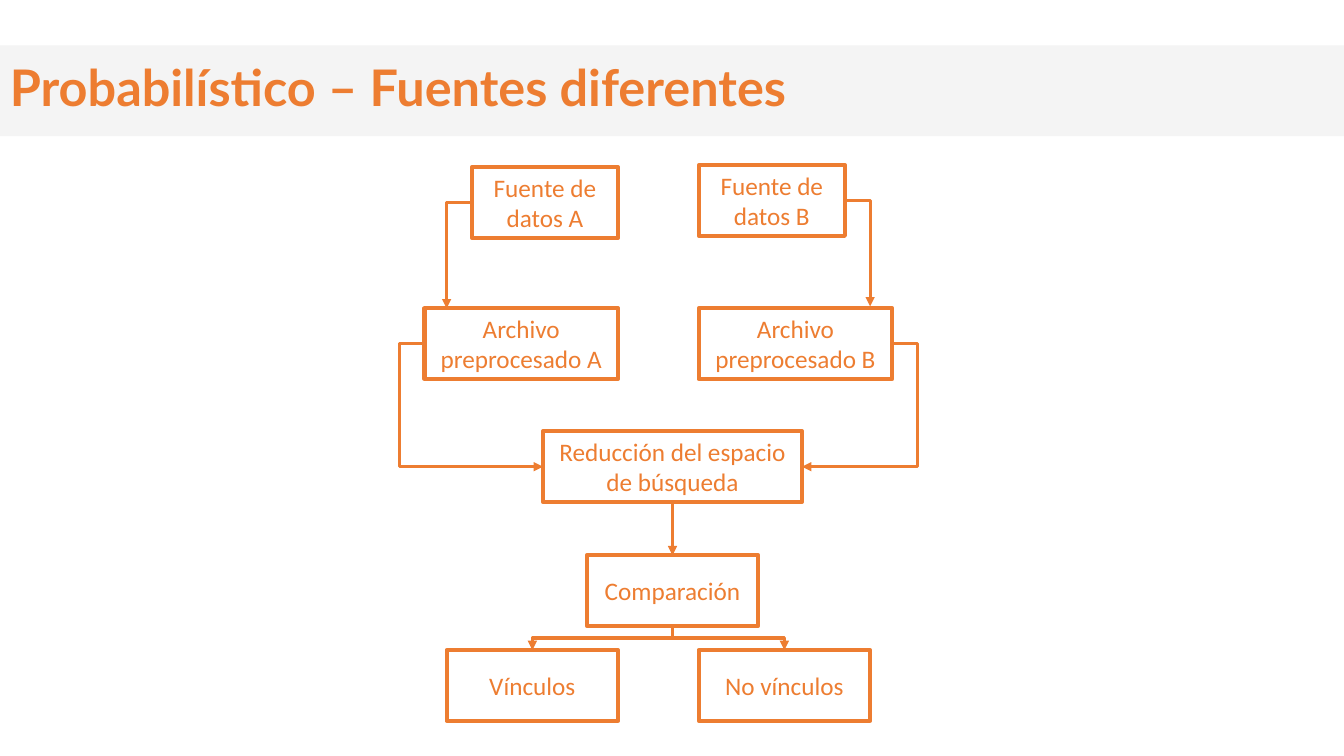
from dataclasses import dataclass

from lxml import etree
from pptx import Presentation
from pptx.dml.color import RGBColor
from pptx.enum.shapes import MSO_CONNECTOR, MSO_SHAPE
from pptx.enum.text import MSO_ANCHOR, PP_ALIGN
from pptx.oxml.ns import qn
from pptx.util import Inches, Pt

RECTANGLE = MSO_SHAPE.RECTANGLE
STRAIGHT, ELBOW = MSO_CONNECTOR.STRAIGHT, MSO_CONNECTOR.ELBOW
MIDDLE = MSO_ANCHOR.MIDDLE
LEFT, CENTER = PP_ALIGN.LEFT, PP_ALIGN.CENTER
TOP_SITE, BOTTOM_SITE = 0, 2


@dataclass(frozen=True)
class Theme:
    """Colours, fonts and sizes of the slide."""
    accent: RGBColor = RGBColor(0xED, 0x7D, 0x31)
    band: RGBColor = RGBColor(0xF4, 0xF4, 0xF4)
    title_font: str = "Lato"
    body_font: str = "Calibri"
    title_size: float = 36
    body_size: float = 18
    border: float = 3
    arrow: float = 2.25


THEME = Theme()


def add_panel(page, box, text, font, align):
    """Add an unfilled rectangle with one paragraph of text."""
    panel = page.shapes.add_shape(RECTANGLE, *map(Inches, box))
    panel.shadow.inherit = False
    panel.fill.background()
    frame = panel.text_frame
    frame.word_wrap = True
    frame.vertical_anchor = MIDDLE
    para = frame.paragraphs[0]
    para.alignment = align
    span = para.add_run()
    span.text = text
    span.font.color.rgb = THEME.accent
    for name, value in font.items():
        setattr(span.font, name, value)
    return panel


def add_title(page, box, text):
    """Add the title on its grey band."""
    font = {"name": THEME.title_font, "size": Pt(THEME.title_size), "bold": True}
    band = add_panel(page, box, text, font, LEFT)
    band.fill.solid()
    band.fill.fore_color.rgb = THEME.band
    band.line.fill.background()
    band.text_frame.paragraphs[0].line_spacing = 0.9


def add_step(page, box, text):
    """Add one outlined step of the flow."""
    font = {"name": THEME.body_font, "size": Pt(THEME.body_size)}
    step = add_panel(page, box, text, font, CENTER)
    step.line.color.rgb = THEME.accent
    step.line.width = Pt(THEME.border)
    return step


def add_arrow(page, kind, start, end):
    """Add a connector with a triangle at its end."""
    arrow = page.shapes.add_connector(kind, *map(Inches, start + end))
    arrow.line.color.rgb = THEME.accent
    arrow.line.width = Pt(THEME.arrow)
    etree.SubElement(arrow.line._get_or_add_ln(), qn("a:tailEnd"), type="triangle")
    etree.SubElement(arrow._element.spPr, qn("a:effectLst"))
    return arrow


def add_corner(page, start, end):
    """Add an arrow that runs sideways and then down."""
    arrow = add_arrow(page, ELBOW, start, end)
    arrow._element.spPr.find(qn("a:prstGeom")).set("prst", "bentConnector2")


def add_detour(page, start, end, reach):
    """Add an arrow that first swings outwards by the given reach."""
    arrow = add_arrow(page, ELBOW, start, end)
    guides = arrow._element.spPr.find(qn("a:prstGeom")).get_or_add_avLst()
    bend = round(-reach / abs(end[0] - start[0]) * 100000)
    etree.SubElement(guides, qn("a:gd"), name="adj1", fmla=f"val {bend}")


def add_branch(page, start, end):
    """Add an arrow that runs down, sideways and down again."""
    half_x, half_y = (end[0] - start[0]) / 2, (end[1] - start[1]) / 2
    middle_x, middle_y = start[0] + half_x, start[1] + half_y
    arrow = add_arrow(page, ELBOW, (middle_x - half_y, middle_y + half_x),
                      (middle_x + half_y, middle_y - half_x))
    arrow._element.spPr.find(qn("a:xfrm")).set("rot", str(90 * 60000))


def add_flow(page, box):
    """Add the linkage flow chart, two sources narrowing to one comparison."""
    left, top, width, height = box
    step_height, reach, gap = 0.7, 0.25, 0.8
    left_edge = left + 2.17
    right_edge = left_edge + gap
    center = left + 2.71
    source_width, file_width, search_width, result_width = 1.45, 1.92, 2.57, 1.7
    file_top, search_top, compare_top = top + 1.42, top + 2.64, top + 3.87
    result_top = top + height - step_height
    half = step_height / 2

    columns = (("A", -1, left_edge, top + 0.02, "Vínculos"),
               ("B", 1, right_edge, top, "No vínculos"))
    search = add_step(page, (center - search_width / 2, search_top, search_width, step_height),
                      "Reducción del espacio de búsqueda")
    compare = add_step(page, (center - result_width / 2, compare_top, result_width, step_height),
                       "Comparación")
    for letter, side, inner, source_top, result in columns:
        def place(step_top, step_width):
            return (min(inner, inner + side * step_width), step_top, step_width, step_height)

        add_step(page, place(source_top, source_width), f"Fuente de datos {letter}")
        add_step(page, place(file_top, file_width), f"Archivo preprocesado {letter}")
        add_step(page, place(result_top, result_width), result)
        source_outer = inner + side * source_width
        source_middle = source_top + half
        add_corner(page, (source_outer, source_middle),
                   (source_outer + side * reach, source_middle + 1.05))
        add_detour(page, (inner + side * file_width, file_top + half),
                   (center + side * search_width / 2, search_top + half), reach)
        add_branch(page, (center, compare_top + step_height),
                   (inner + side * result_width / 2, result_top))

    down = add_arrow(page, STRAIGHT, (center, search_top + step_height), (center, compare_top))
    down.begin_connect(search, BOTTOM_SITE)
    down.end_connect(compare, TOP_SITE)


def main():
    """Build the deck and save it."""
    deck = Presentation()
    deck.slide_width, deck.slide_height = Inches(13.33), Inches(7.5)
    page = deck.slides.add_slide(deck.slide_layouts[6])
    add_title(page, (0, 0.45, 13.33, 0.9), "Probabilístico – Fuentes diferentes")
    add_flow(page, (3.96, 1.64, 5.14, 5.51))
    deck.save("out.pptx")


if __name__ == "__main__":
    main()
